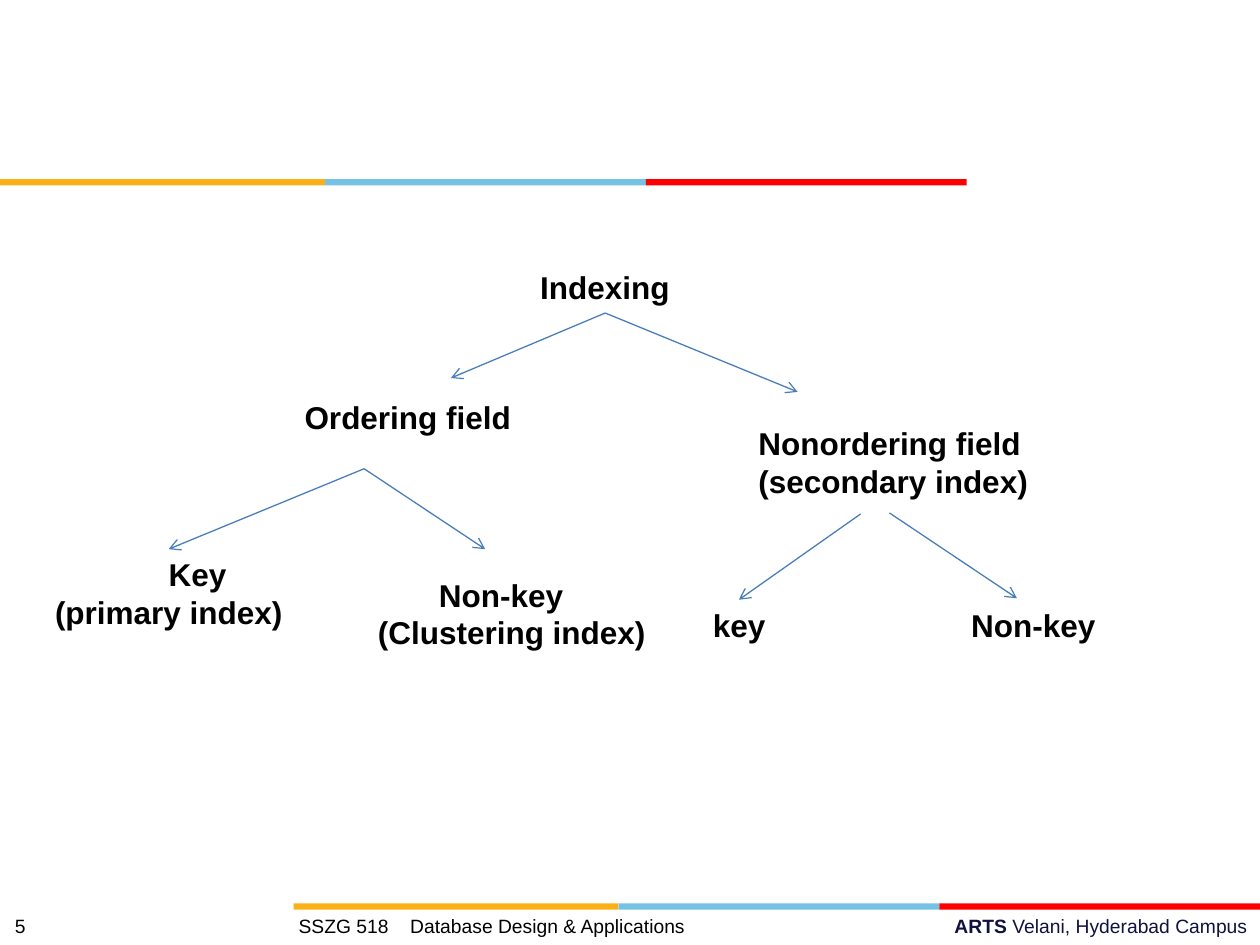
import pptx
import pptx.dml.color
import pptx.enum.shapes
import pptx.enum.text
import pptx.util
from lxml import etree
from pptx.util import Cm

A = "{http://schemas.openxmlformats.org/drawingml/2006/main}"


def rgb(value):
    return pptx.dml.color.RGBColor.from_string(value)


def add_text(x, y, w, h, lines, size, bold):
    s = slide.shapes.add_textbox(Cm(x), Cm(y), Cm(w), Cm(h))
    tf = s.text_frame
    tf.word_wrap = True
    tf.margin_right = 0
    tf.text = "\n".join(lines)
    for p in tf.paragraphs:
        p.font.name = "Arial"
        p.font.size = pptx.util.Pt(size)
        p.font.bold = bold
        p.font.color.rgb = rgb("000000")
    return s


prs = pptx.Presentation()
prs.slide_width, prs.slide_height = Cm(25.4), Cm(19.05)
slide = prs.slides.add_slide(prs.slide_layouts[6])

# Three-colour stripes under the heading area and above the footer
for left, top in [(0, 3.61), (5.92, 18.21)]:
    x = left
    for width, color in [(6.55, "FCB017"), (6.47, "76C2E5"), (6.47, "FF0000")]:
        s = slide.shapes.add_shape(
            pptx.enum.shapes.MSO_SHAPE.RECTANGLE, Cm(x), Cm(top), Cm(width), Cm(0.13))
        s.shadow.inherit = False
        s.fill.solid()
        s.fill.fore_color.rgb = rgb(color)
        s.line.fill.background()
        x += width

# Tree nodes: left, top, width, height, first-line indent, lines
nodes = {}
for name, x, y, w, h, indent, lines in [
    ("indexing", 10.64, 5.28, 3.12, 1.03, 0, ["Indexing"]),
    ("nonordering", 15.04, 8.43, 5.94, 1.78, 0, ["Nonordering field", "(secondary index)"]),
    ("secondary non-key", 19.33, 12.09, 3.0, 1.03, 0, ["Non-key"]),
    ("secondary key", 14.12, 12.09, 1.55, 1.03, 0, ["key"]),
    ("clustering", 7.37, 11.48, 5.89, 1.78, 1.23, ["Non-key", "(Clustering index)"]),
    ("primary", 0.86, 11.07, 5.08, 1.78, 2.29, ["Key", "(primary index)"]),
    ("ordering", 5.89, 7.9, 4.67, 1.03, 0, ["Ordering field"]),
]:
    nodes[name] = add_text(x, y, w, h, lines, 18, True)
    if indent:
        pPr = nodes[name].text_frame.paragraphs[0]._p.get_or_add_pPr()
        pPr.set("indent", str(Cm(indent)))

# Arrows: start, end, node joined at the start, node joined at the end
for x1, y1, x2, y2, source, target in [
    (12.2, 6.31, 9.09, 7.62, "indexing", None),
    (12.2, 6.31, 16.08, 7.9, "indexing", None),
    (7.34, 9.45, 3.4, 11.07, None, "primary"),
    (7.34, 9.45, 9.78, 11.07, None, None),
    (17.35, 10.36, 14.9, 12.09, None, "secondary key"),
    (17.93, 10.34, 20.5, 12.06, None, None),
]:
    arrow = slide.shapes.add_connector(
        pptx.enum.shapes.MSO_CONNECTOR.STRAIGHT, Cm(x1), Cm(y1), Cm(x2), Cm(y2))
    if source:
        arrow.begin_connect(nodes[source], 2)
    if target:
        arrow.end_connect(nodes[target], 0)
    arrow.line.color.rgb = rgb("4A7EBB")
    arrow.line.width = pptx.util.Pt(0.75)
    etree.SubElement(arrow.line._get_or_add_ln(), A + "tailEnd", type="arrow")
    etree.SubElement(arrow._element.spPr, A + "effectLst")

# Footer: page number and course on tab stops, campus at the right
s = add_text(0.05, 18.31, 14.05, 0.74,
             ["5\tSSZG 518\tDatabase Design & Applications"], 11, False)
pPr = s.text_frame.paragraphs[0]._p.get_or_add_pPr()
tabs = etree.Element(A + "tabLst")
pPr.insert(0, tabs)
for stop in (5.72, 7.97):
    etree.SubElement(tabs, A + "tab", pos=str(Cm(stop)), algn="l")

s = add_text(9.09, 18.31, 16.31, 0.74, ["ARTS "], 11, False)
s.text_frame.margin_right = Cm(0.25)
p = s.text_frame.paragraphs[0]
p.alignment = pptx.enum.text.PP_ALIGN.RIGHT
p.font.color.rgb = rgb("101141")
p.runs[0].font.bold = True
r = p.add_run()
r.text = "Velani, Hyderabad Campus"

prs.save("out.pptx")
